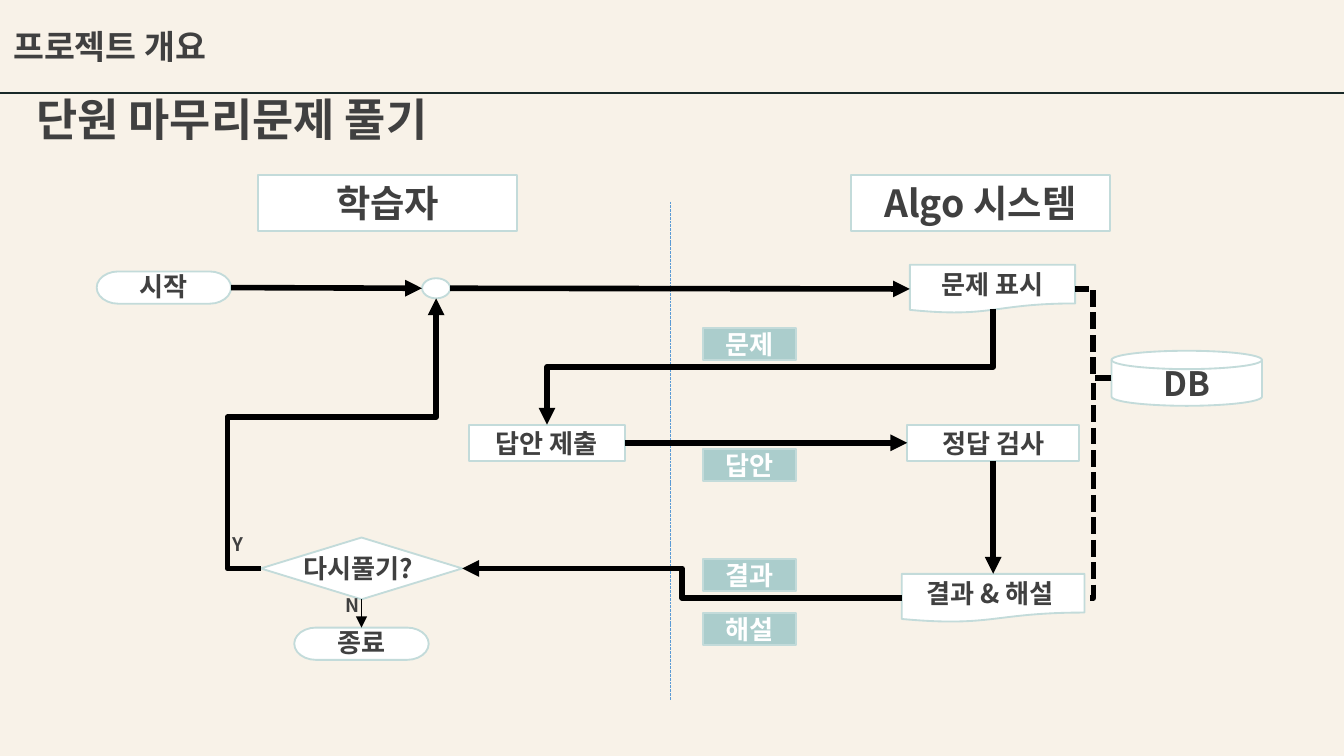
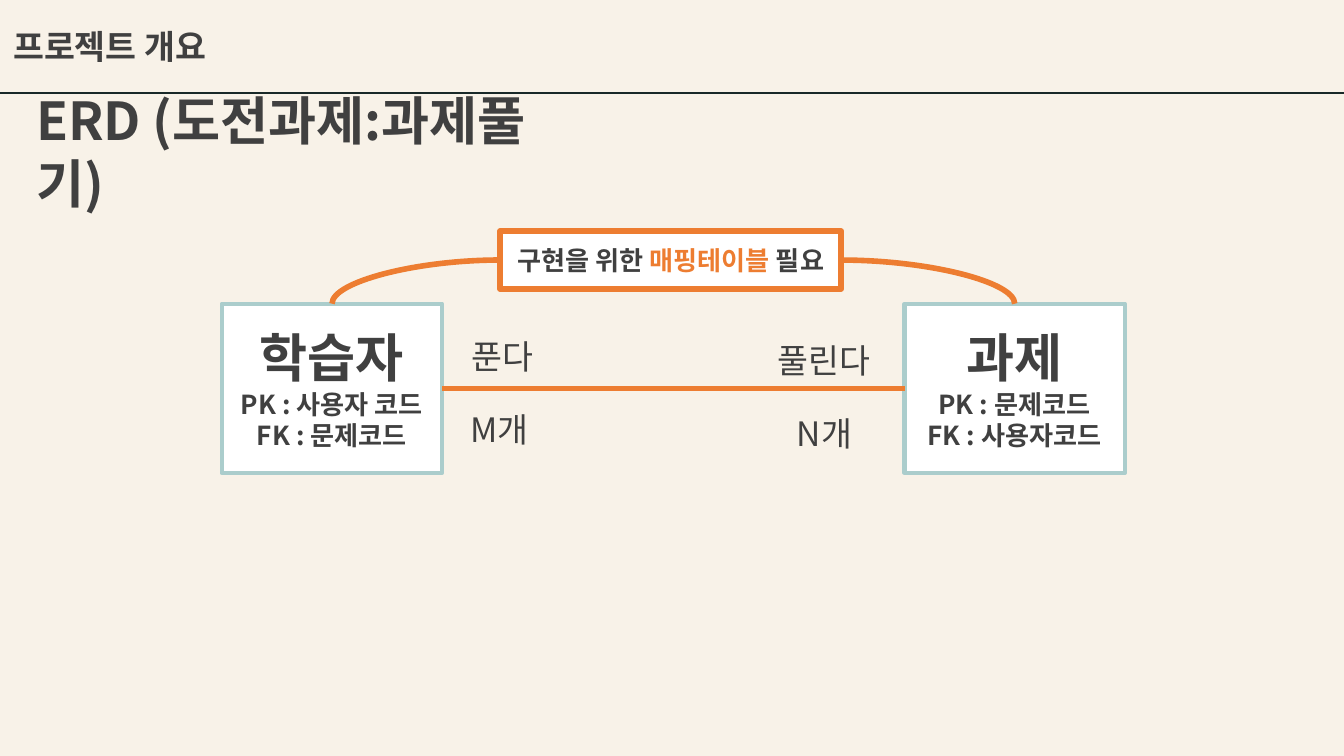
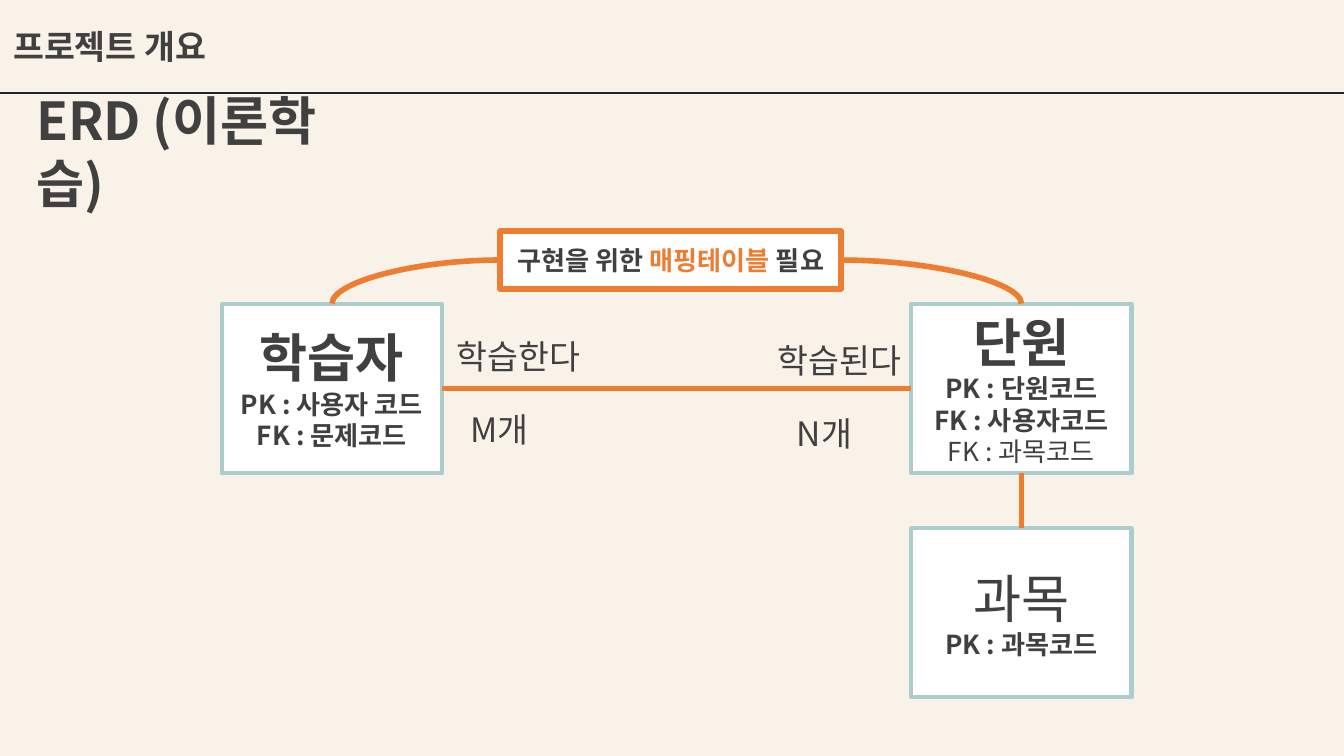
from dataclasses import dataclass
from typing import NamedTuple

from pptx import Presentation
from pptx.dml.color import RGBColor
from pptx.enum.dml import MSO_LINE
from pptx.enum.shapes import MSO_CONNECTOR, MSO_SHAPE
from pptx.enum.text import MSO_ANCHOR, MSO_AUTO_SIZE, PP_ALIGN
from pptx.oxml.ns import qn
from pptx.util import Emu, Inches, Pt
from lxml.etree import SubElement


@dataclass(frozen=True)
class Theme:
    """Colours, type sizes and line widths shared by the slides."""
    font: str = "Noto Sans CJK KR"
    paper: str = "F8F2E8"
    white: str = "FFFFFF"
    ink: str = "404040"
    black: str = "000000"
    rule: str = "192928"
    mint: str = "ABCDCC"
    pale_mint: str = "C3DBDA"
    orange: str = "ED7D31"
    blue: str = "5B9BD5"
    tiny: int = 10
    body: int = 14
    label: int = 18
    lane: int = 20
    title: int = 24
    heading: int = 28
    hairline: float = 0.5
    fine: float = 0.75
    thin: float = 1
    frame: float = 2.25
    thick: float = 3


class Box(NamedTuple):
    """A region in inches."""
    left: float
    top: float
    width: float
    height: float

    def inner(self, left, top, width, height):
        """Return a box placed relative to this one."""
        return Box(self.left + left, self.top + top, width, height)

    def point(self, left, top):
        """Return a point placed relative to this box."""
        return Inches(self.left + left), Inches(self.top + top)

    def lengths(self):
        """Return the four measures as lengths."""
        return [Inches(value) for value in self]


THEME = Theme()
PAGE = Box(0, 0, 10, 10 * 9 / 16)
HEADER = Box(0, 0, PAGE.width, 0.69)
BODY = Box(0, HEADER.height, PAGE.width, PAGE.height - HEADER.height)
DIAGRAM = Box(1.65, 1.72, 6.77, 3.47)
TOP, LEFT, BOTTOM, RIGHT = range(4)
TIGHT = (0.02, 0)
SNUG = (0.04, 0.04)


def apply(target, values):
    """Set attributes from a dict."""
    for name, value in values.items():
        setattr(target, name, value)


def write(shape, lines, size=THEME.body, bold=True, colour=THEME.ink,
          align=PP_ALIGN.CENTER, anchor=MSO_ANCHOR.MIDDLE, insets=(0.1, 0.05),
          wrap=True, spacing=None):
    """Write lines, each a string or a list of (text, changes) spans."""
    frame = shape.text_frame
    across, down = map(Inches, insets)
    apply(frame, {"margin_left": across, "margin_right": across, "margin_top": down,
                  "margin_bottom": down, "vertical_anchor": anchor, "word_wrap": wrap})
    for number, line in enumerate(lines):
        para = frame.add_paragraph() if number else frame.paragraphs[0]
        apply(para, {"alignment": align, "line_spacing": spacing})
        for text, changes in [(line, {})] if isinstance(line, str) else line:
            look = {"size": size, "bold": bold, "colour": colour, **changes}
            span = para.add_run()
            span.text = text
            apply(span.font, {"size": Pt(look["size"]), "bold": look["bold"],
                              "name": THEME.font})
            span.font.color.rgb = RGBColor.from_string(look["colour"])
            SubElement(span._r.get_or_add_rPr(), qn("a:ea"), typeface=THEME.font)


def add_block(page, box, lines=(), kind=MSO_SHAPE.RECTANGLE, fill=THEME.white,
              outline=THEME.pale_mint, weight=THEME.thin, **text):
    """Add a filled shape with optional text."""
    shape = page.shapes.add_shape(kind, *box.lengths())
    shape.shadow.inherit = False
    shape.fill.solid()
    shape.fill.fore_color.rgb = RGBColor.from_string(fill)
    if outline:
        shape.line.color.rgb = RGBColor.from_string(outline)
        shape.line.width = Pt(weight)
    else:
        shape.line.fill.background()
    write(shape, lines, **text)
    return shape


def add_text(page, box, text, **look):
    """Add a text box that grows with its text."""
    shape = page.shapes.add_textbox(*box.lengths())
    write(shape, [text], **look)
    shape.text_frame.auto_size = MSO_AUTO_SIZE.SHAPE_TO_FIT_TEXT


def side(shape, number):
    """Return the middle of one side of a shape."""
    x_step, y_step = {TOP: (1, 0), LEFT: (0, 1), BOTTOM: (1, 2), RIGHT: (2, 1)}[number]
    return (Emu(shape.left + shape.width * x_step // 2),
            Emu(shape.top + shape.height * y_step // 2))


def add_line(page, start, end, colour=THEME.black, weight=THEME.thick,
             kind=MSO_CONNECTOR.STRAIGHT, dashed=False, arrow=None):
    """Add a connector; arrow names the arrowhead element to add."""
    line = page.shapes.add_connector(kind, *start, *end)
    line.line.color.rgb = RGBColor.from_string(colour)
    line.line.width = Pt(weight)
    if dashed:
        line.line.dash_style = MSO_LINE.SQUARE_DOT
    if arrow:
        SubElement(line.get_or_add_ln(), qn(f"a:{arrow}"), type="triangle")
    SubElement(line.element.spPr, qn("a:effectLst"))
    return line


def join(page, begin, end, **look):
    """Add a straight line glued to its (shape, side) ends, circles aside."""
    line = add_line(page, side(*begin), side(*end), **look)
    for (shape, number), connect in ((begin, line.begin_connect), (end, line.end_connect)):
        if shape.auto_shape_type != MSO_SHAPE.FLOWCHART_CONNECTOR:
            connect(shape, number)


def add_route(page, start, end, preset, vertical=False, bends=(), **look):
    """Add a bent or curved connector that may leave its start vertically."""
    line = add_line(page, start, end, kind=MSO_CONNECTOR.ELBOW, **look)
    if vertical:
        width, height = line.width, line.height
        apply(line, {"left": Emu(line.left + (width - height) // 2),
                     "top": Emu(line.top + (height - width) // 2),
                     "width": height, "height": width})
        frame = line.element.spPr.find(qn("a:xfrm"))
        frame.set("rot", "5400000")
        frame.set("flipH", str(int(end[1] < start[1])))
        frame.set("flipV", str(int(end[0] > start[0])))
    shape = line.element.spPr.find(qn("a:prstGeom"))
    shape.set("prst", preset)
    guides = shape.find(qn("a:avLst"))
    for number, bend in enumerate(bends, 1):
        SubElement(guides, qn("a:gd"), name=f"adj{number}",
                   fmla=f"val {round(bend * 100000)}")


def add_header(page, box):
    """Add the header band and its rule."""
    add_block(page, box, ["프로젝트 개요"], fill=THEME.paper, outline=None,
              size=THEME.label, align=PP_ALIGN.LEFT)
    add_line(page, box.point(0, box.height), box.point(box.width, box.height),
             THEME.rule, THEME.thin)


def add_title(page, box, text, size):
    """Add the slide title."""
    add_text(page, box, text, size=size, align=PP_ALIGN.LEFT, anchor=MSO_ANCHOR.TOP)


def add_lanes(page, box):
    """Add the lane heads and the line between the lanes."""
    add_line(page, box.point(4.99, 0.81), box.point(4.99, 4.52), THEME.blue,
             THEME.hairline, dashed=True)
    for left, name in ((1.92, "학습자"), (6.33, "Algo 시스템")):
        add_block(page, box.inner(left, 0.61, 1.93, 0.42), [name], size=THEME.lane)


def add_learner_steps(page, box):
    """Add the learner's steps and return them by name."""
    pill = {"kind": MSO_SHAPE.FLOWCHART_TERMINATOR, "insets": TIGHT, "spacing": 0.9}
    steps = {
        "start": add_block(page, box.inner(0.72, 1.33, 1, 0.24), ["시작"], **pill),
        "finish": add_block(page, box.inner(2.19, 3.98, 1, 0.24), ["종료"], **pill),
        "submit": add_block(page, box.inner(3.49, 2.47, 1.16, 0.27), ["답안 제출"],
                            insets=TIGHT),
        "retry": add_block(page, box.inner(1.94, 3.31, 1.5, 0.46), ["다시풀기? "],
                           MSO_SHAPE.FLOWCHART_DECISION, insets=SNUG, wrap=False),
        "merge": add_block(page, box.inner(3.14, 1.38, 0.21, 0.15),
                           kind=MSO_SHAPE.FLOWCHART_CONNECTOR),
    }
    for left, top, width, answer in ((2.47, 3.68, 0.22, "N"), (1.62, 3.22, 0.3, "Y")):
        add_text(page, box.inner(left, top, width, 0.27), answer, size=THEME.tiny)
    return steps


def add_system_steps(page, box):
    """Add the system's steps and return them by name."""
    sheet = {"kind": MSO_SHAPE.FLOWCHART_DOCUMENT, "insets": SNUG, "wrap": False}
    return {
        "show": add_block(page, box.inner(6.77, 1.28, 1.23, 0.36), ["문제 표시"], **sheet),
        "result": add_block(page, box.inner(6.71, 3.58, 1.36, 0.36), ["결과 & 해설 "],
                            **sheet),
        "check": add_block(page, box.inner(6.75, 2.47, 1.28, 0.27), ["정답 검사"],
                           insets=TIGHT),
        "store": add_block(page, box.inner(8.27, 1.92, 1.12, 0.41), ["DB"],
                           MSO_SHAPE.FLOWCHART_MAGNETIC_DISK, size=THEME.label,
                           insets=(0.04, 0), wrap=False),
    }


def add_flow_lines(page, box, steps):
    """Join the steps of the flow."""
    for begin, out, end, into, weight in (
            ("start", RIGHT, "merge", LEFT, THEME.thick),
            ("merge", RIGHT, "show", LEFT, THEME.thick),
            ("submit", RIGHT, "check", LEFT, THEME.thick),
            ("check", BOTTOM, "result", TOP, THEME.thick),
            ("retry", BOTTOM, "finish", TOP, THEME.fine)):
        join(page, (steps[begin], out), (steps[end], into), weight=weight,
             arrow="tailEnd")
    for name, bend in (("show", 0.5), ("result", 0.67)):
        add_route(page, side(steps["store"], LEFT), side(steps[name], RIGHT),
                  "bentConnector3", bends=[bend], dashed=True)
    add_route(page, side(steps["merge"], BOTTOM), side(steps["retry"], LEFT),
              "bentConnector4", True, [0.44, 1.19], arrow="headEnd")
    add_route(page, box.point(7.39, 1.61), side(steps["submit"], TOP),
              "bentConnector3", True, [0.5], arrow="tailEnd")
    add_route(page, side(steps["result"], LEFT), side(steps["retry"], RIGHT),
              "bentConnector3", bends=[0.5], arrow="tailEnd")


def add_messages(page, box):
    """Label what passes between the lanes."""
    for top, name in ((1.75, "문제"), (2.65, "답안"), (3.47, "결과"), (3.87, "해설")):
        add_block(page, box.inner(5.23, top, 0.69, 0.24), [name], fill=THEME.mint,
                  colour=THEME.white)


def add_entity(page, box, name, keys, bold=True):
    """Add an entity with its name and keys."""
    heading = [(name, {"size": THEME.heading, "bold": bold})]
    return add_block(page, box, [heading, *keys], outline=THEME.mint,
                     weight=THEME.frame, insets=TIGHT)


def add_relation(page, box, other_left, other, keys, verbs):
    """Add the learner, the other entity and their relation."""
    learner = add_entity(page, box.inner(0, 0.54, 1.64, 1.26), "학습자",
                         ["PK : 사용자 코드", "FK : 문제코드"])
    partner = add_entity(page, box.inner(other_left, 0.54, 1.64, 1.26), other, keys)
    join(page, (learner, RIGHT), (partner, LEFT), colour=THEME.orange)
    for left, top, width, text in (*verbs, (1.75, 1.27, 0.63, "M개"),
                                   (4.18, 1.3, 0.61, "N개")):
        add_text(page, box.inner(left, top, width, 0.4), text, size=THEME.label,
                 bold=False, align=PP_ALIGN.LEFT, anchor=MSO_ANCHOR.TOP)
    note = [("구현을 위한 ", {}), ("매핑테이블", {"colour": THEME.orange}), (" 필요", {})]
    mapping = add_block(page, box.inner(2.07, 0, 2.54, 0.43), [note],
                        outline=THEME.orange, weight=THEME.thick, insets=TIGHT)
    add_route(page, side(learner, TOP), side(mapping, LEFT), "curvedConnector2", True,
              colour=THEME.orange)
    add_route(page, side(mapping, RIGHT), side(partner, TOP), "curvedConnector2",
              colour=THEME.orange)
    return partner


def add_page(deck):
    """Add a blank page on the paper colour."""
    page = deck.slides.add_slide(deck.slide_layouts[6])
    page.background.fill.solid()
    page.background.fill.fore_color.rgb = RGBColor.from_string(THEME.paper)
    return page


def build_flow(deck):
    """Build the flow of the closing exercises."""
    page = add_page(deck)
    add_lanes(page, BODY)
    steps = {**add_learner_steps(page, BODY), **add_system_steps(page, BODY)}
    add_flow_lines(page, BODY, steps)
    add_messages(page, BODY)
    add_title(page, BODY.inner(0.17, -0.06, 3.23, 0.5), "단원 마무리문제 풀기", THEME.title)
    add_header(page, HEADER)


def build_challenge(deck):
    """Build the entities of the challenge."""
    page = add_page(deck)
    add_relation(page, DIAGRAM, 5.08, "과제", ["PK : 문제코드", "FK : 사용자코드"],
                 [(1.76, 0.73, 0.66, "푼다"), (4.04, 0.76, 0.9, "풀린다")])
    add_title(page, BODY.inner(0.17, -0.08, 4.32, 0.57), "ERD (도전과제:과제풀기)",
              THEME.heading)
    add_header(page, HEADER)


def build_theory(deck):
    """Build the entities of the theory lessons."""
    page = add_page(deck)
    keys = ["PK : 단원코드", "FK : 사용자코드", [("FK : 과목코드", {"bold": False})]]
    unit = add_relation(page, DIAGRAM, 5.13, "단원", keys,
                        [(1.65, 0.73, 1.13, "학습한다"), (4.04, 0.76, 1.13, "학습된다")])
    subject = add_entity(page, DIAGRAM.inner(5.13, 2.21, 1.64, 1.26), "과목",
                         ["PK : 과목코드"], bold=False)
    join(page, (subject, TOP), (unit, BOTTOM), colour=THEME.orange)
    add_title(page, BODY.inner(0.17, -0.08, 2.72, 0.57), "ERD (이론학습)", THEME.heading)
    add_header(page, HEADER)


def main():
    """Build and save the deck."""
    deck = Presentation()
    apply(deck, {"slide_width": Inches(PAGE.width), "slide_height": Inches(PAGE.height)})
    for build in (build_flow, build_challenge, build_theory):
        build(deck)
    deck.save("out.pptx")


if __name__ == "__main__":
    main()
